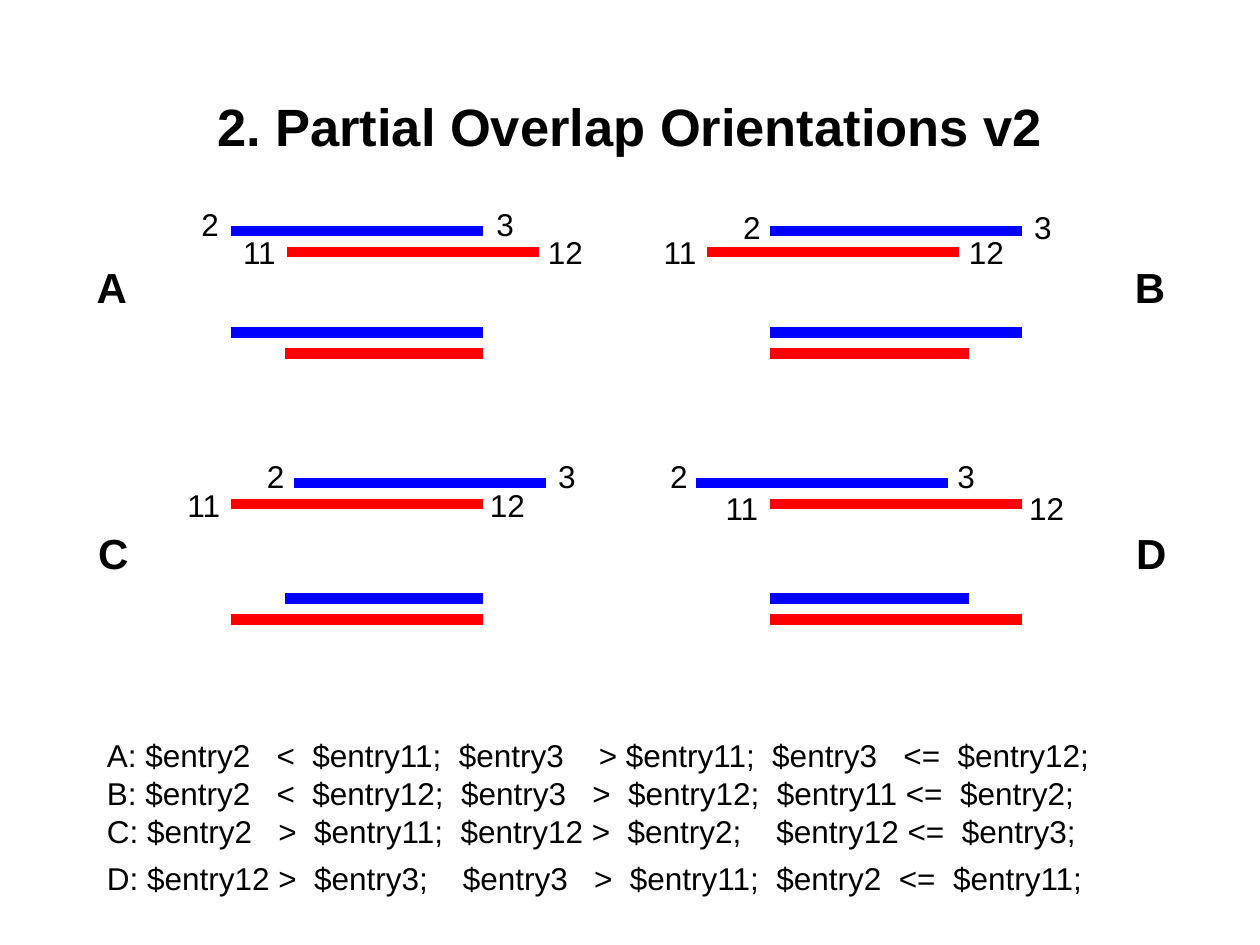
from lxml import etree
from pptx import Presentation
from pptx import util as u
from pptx.dml.color import RGBColor
from pptx.enum import shapes, text
from pptx.oxml import ns

THEME = {
    "font": "Arial",
    "ink": RGBColor(0, 0, 0),
    "first": RGBColor(0, 0, 255),
    "second": RGBColor(255, 0, 0),
    "title": 30,
    "letter": 24,
    "body": 18,
    "bar": 6,
}

deck = Presentation()
deck.slide_width, deck.slide_height = u.Pt(720), u.Pt(540)
page = deck.slides.add_slide(deck.slide_layouts[5])


def write(box, words, size, bold=False):
    """Fill a box with text in the theme's font and ink."""
    frame = box.text_frame
    frame.text = words
    for para in frame.paragraphs:
        for span in para.runs:
            span.font.name = THEME["font"]
            span.font.size = u.Pt(size)
            span.font.bold = bold
            span.font.color.rgb = THEME["ink"]
    return frame


def add_label(words, left, top, width, height, size, bold=False):
    """Add an unwrapped text box."""
    box = page.shapes.add_textbox(u.Pt(left), u.Pt(top), u.Pt(width), u.Pt(height))
    frame = write(box, words, size, bold)
    frame.word_wrap = False
    return frame


title = page.shapes.title
title.left, title.top = u.Pt(54), u.Pt(48)
title.width, title.height = u.Pt(612), u.Pt(48)
frame = write(title, "2. Partial Overlap Orientations v2", THEME["title"], True)
frame.vertical_anchor = text.MSO_ANCHOR.MIDDLE
frame.paragraphs[0].alignment = text.PP_ALIGN.CENTER

# Each panel: letter position, bar rows, bar spans (blue, red, blue, red), end labels
TOP_ROWS = (132, 144, 190, 202)
BOTTOM_ROWS = (276, 288, 342, 354)
panels = {
    "A": ((48.2, 146), TOP_ROWS,
          ((132, 276), (164, 308), (132, 276), (163, 276)),
          {"2": (108, 113.75), "3": (276.5, 113.75),
           "11": (131.8, 129.6), "12": (306, 129.6)}),
    "B": ((641.5, 146), TOP_ROWS,
          ((440, 584), (404, 548), (440, 584), (440, 553.5)),
          {"2": (417.6, 115.2), "3": (583.9, 115.2),
           "11": (372.2, 129.6), "12": (546.5, 129.6)}),
    "C": ((49, 298), BOTTOM_ROWS,
          ((168, 312), (132, 276), (163, 276), (132, 276)),
          {"2": (145.4, 257.8), "3": (311.8, 257.8),
           "11": (100, 274.3), "12": (272.9, 274.3)}),
    "D": ((642.2, 298), BOTTOM_ROWS,
          ((398, 542), (440, 584), (440, 553.5), (440, 584)),
          {"2": (375.8, 257.8), "3": (540, 257.8),
           "11": (407.5, 275.8), "12": (581, 275.8)}),
}

for letter, (corner, rows, bars, ends) in panels.items():
    for index, (row, (start, end)) in enumerate(zip(rows, bars)):
        bar = page.shapes.add_connector(
            shapes.MSO_CONNECTOR.STRAIGHT, u.Pt(start), u.Pt(row), u.Pt(end), u.Pt(row))
        bar.line.width = u.Pt(THEME["bar"])
        bar.line.color.rgb = THEME["second" if index % 2 else "first"]
        etree.SubElement(bar._element.spPr, ns.qn("a:effectLst"))
    for number, (left, top) in ends.items():
        width = 14.4 + 10.05 * len(number)
        add_label(number, left, top, width, 28.8, THEME["body"])
    add_label(letter, *corner, 31.7, 36, THEME["letter"], True)

rules = (
    "A: $entry2   <  $entry11;  $entry3    > $entry11;  $entry3   <=  $entry12;",
    "B: $entry2   <  $entry12;  $entry3   >  $entry12;  $entry11 <=  $entry2;",
    "C: $entry2   >  $entry11;  $entry12 >  $entry2;    $entry12 <=  $entry3;",
    "D: $entry12 >  $entry3;    $entry3   >  $entry11;  $entry2  <=  $entry11;",
)
frame = add_label("\n".join(rules), 54, 417, 612, 101, THEME["body"])
frame.word_wrap = True
frame.paragraphs[-1].space_before = u.Pt(5.5)

deck.save("out.pptx")
